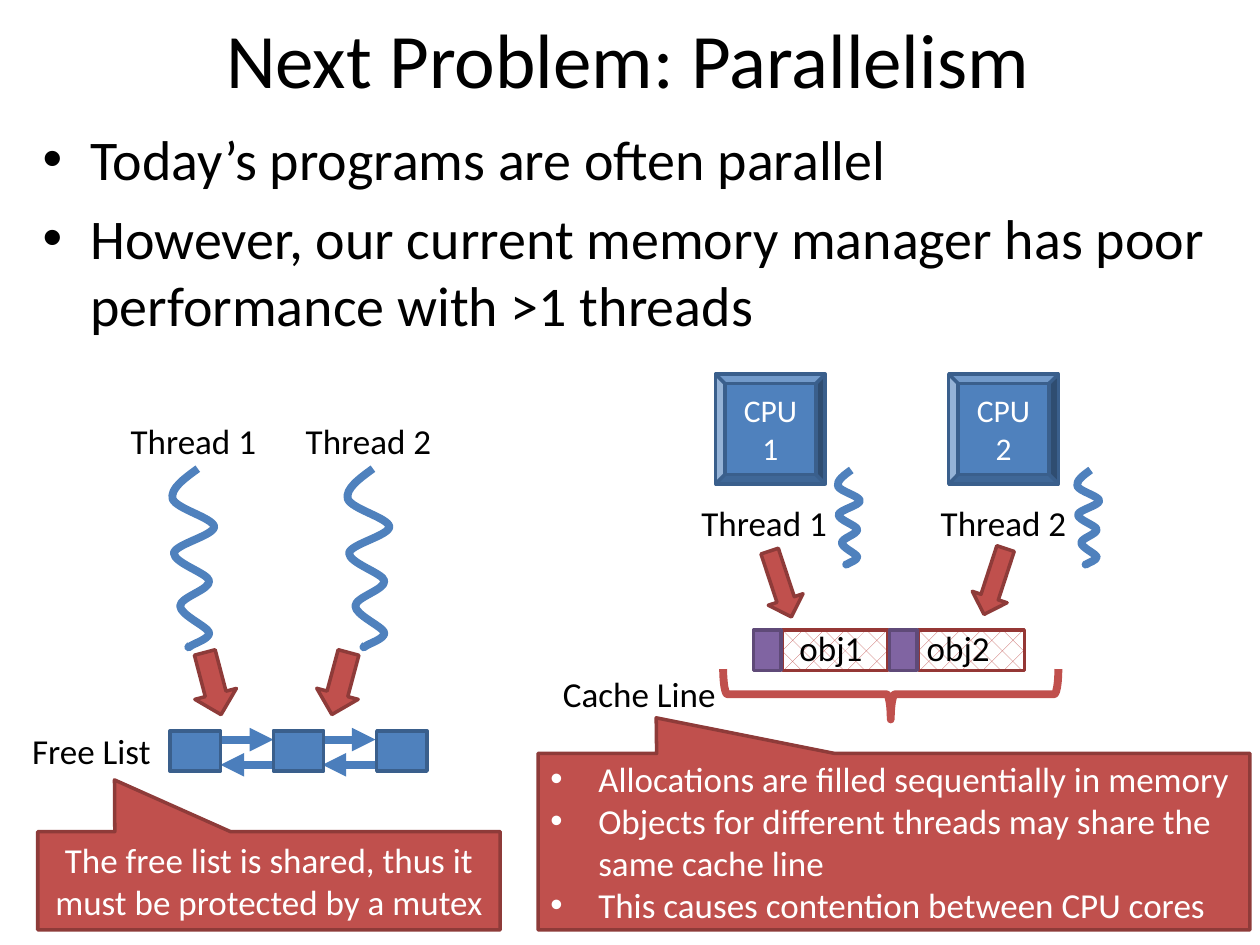
import pptx
import pptx.dml.color
import pptx.enum.dml
import pptx.enum.shapes
import pptx.enum.text
import pptx.oxml
import pptx.oxml.ns
import pptx.util
from lxml import etree

Inches = pptx.util.Inches
Pt = pptx.util.Pt
RGBColor = pptx.dml.color.RGBColor
KIND = pptx.enum.shapes.MSO_SHAPE
ALIGN = pptx.enum.text.PP_ALIGN
ANCHOR = pptx.enum.text.MSO_ANCHOR
qn = pptx.oxml.ns.qn

BLACK = RGBColor(0x00, 0x00, 0x00)
WHITE = RGBColor(0xFF, 0xFF, 0xFF)
BLUE = RGBColor(0x4F, 0x81, 0xBD)
NAVY = RGBColor(0x3A, 0x5F, 0x8C)
LINK = RGBColor(0x4B, 0x7E, 0xBC)
RED = RGBColor(0xC0, 0x50, 0x4D)
MAROON = RGBColor(0x8E, 0x3B, 0x39)
BRICK = RGBColor(0x95, 0x37, 0x35)
PURPLE = RGBColor(0x80, 0x64, 0xA2)
PLUM = RGBColor(0x5F, 0x4A, 0x78)

# Start point, then three points for each curve, in hundredths of an inch
WAVE = [(20, 0),
        (9, 8), (-2, 16), (0, 24), (3, 32), (32, 39), (33, 46),
        (33, 53), (2, 60), (1, 67), (1, 75), (28, 83), (29, 89),
        (30, 96), (6, 102), (6, 109), (6, 116), (27, 125), (29, 130),
        (30, 135), (16, 139), (14, 141), (11, 143), (13, 141), (14, 140)]


def write(frame, lines, size, color, align=ALIGN.CENTER, bullet=False, gap=0):
    for i, line in enumerate(lines):
        para = frame.paragraphs[0] if i == 0 else frame.add_paragraph()
        para.alignment = align
        if i and gap:
            para.space_before = Pt(gap)
        if bullet:
            props = para._p.get_or_add_pPr()
            props.set("marL", str(Inches(0.38)))
            props.set("indent", str(Inches(-0.38)))
            font = etree.SubElement(props, qn("a:buFont"))
            font.set("typeface", "Arial")
            etree.SubElement(props, qn("a:buChar")).set("char", "•")
        run = para.add_run()
        run.text = line
        run.font.name = "Calibri"
        run.font.size = Pt(size)
        run.font.color.rgb = color


def add_text(slide, x, y, w, h, lines, size=20, wrap=False,
             anchor=ANCHOR.TOP, **style):
    box = slide.shapes.add_textbox(Inches(x), Inches(y), Inches(w), Inches(h))
    box.text_frame.word_wrap = wrap
    box.text_frame.vertical_anchor = anchor
    write(box.text_frame, lines, size, BLACK, **style)


def add_shape(slide, kind, x, y, w, h, fill, edge, width=2, turn=0, adjust=()):
    shape = slide.shapes.add_shape(kind, Inches(x), Inches(y),
                                   Inches(w), Inches(h))
    shape.shadow.inherit = False
    shape.rotation = turn
    for i, value in enumerate(adjust):
        shape.adjustments[i] = value
    if fill is None:
        shape.fill.background()
    else:
        shape.fill.solid()
        shape.fill.fore_color.rgb = fill
    shape.line.color.rgb = edge
    shape.line.width = Pt(width)
    return shape


def add_note(slide, x, y, w, h, tip, lines, **style):
    """Red callout whose tip is given as fractions of its size."""
    note = add_shape(slide, KIND.RECTANGULAR_CALLOUT, x, y, w, h,
                     RED, MAROON, adjust=tip)
    note.text_frame.word_wrap = True
    note.text_frame.vertical_anchor = ANCHOR.MIDDLE
    write(note.text_frame, lines, 20, WHITE, **style)


def add_wave(slide, x, y, scale=1.0):
    """Thread squiggle: the points of a freeform are joined as Bezier curves."""
    points = [(Inches(x + px * scale / 100), Inches(y + py * scale / 100))
              for px, py in WAVE]
    maker = slide.shapes.build_freeform(*points[0])
    maker.add_line_segments(points[1:], close=False)
    wave = maker.convert_to_shape()
    wave.shadow.inherit = False
    wave.fill.background()
    wave.line.color.rgb = BLUE
    wave.line.width = Pt(4.5)
    track = wave._element.find(".//" + qn("a:path"))
    steps = track.findall(qn("a:lnTo"))
    for i in range(0, len(steps), 3):
        curve = etree.SubElement(track, qn("a:cubicBezTo"))
        for step in steps[i:i + 3]:
            curve.append(step[0])
            track.remove(step)


def add_link(slide, x1, x2, y):
    link = slide.shapes.add_connector(
        pptx.enum.shapes.MSO_CONNECTOR.STRAIGHT,
        Inches(x1), Inches(y), Inches(x2), Inches(y))
    link.line.color.rgb = LINK
    link.line.width = Pt(4.5)
    etree.SubElement(link.line._get_or_add_ln(),
                     qn("a:tailEnd")).set("type", "triangle")
    etree.SubElement(link._element.spPr, qn("a:effectLst"))


def add_title(slide, x, y, w, h):
    add_text(slide, x, y, w, h, ["Next Problem: Parallelism"], size=44,
             wrap=True, anchor=ANCHOR.MIDDLE)


def add_points(slide, x, y, w, h):
    add_text(slide, x, y, w, h, [
        "Today’s programs are often parallel",
        "However, our current memory manager has poor performance "
        "with >1 threads",
    ], size=32, wrap=True, align=ALIGN.LEFT, bullet=True, gap=6.4)


def add_list(slide, x, y, w, h):
    """Two threads that share one free list."""
    for i in range(2):
        left = x + 0.78 + 1.39 * i
        add_wave(slide, left + 0.44, y + 0.44)
        add_text(slide, left, y, 1.21, 0.44, [f"Thread {i + 1}"])
    for i in range(2):
        left = x + 1.45 + 0.81 * i
        add_link(slide, left, left + 0.57, y + 2.59)
        add_link(slide, left + 0.72, left + 0.15, y + 2.79)
    for i in range(3):
        add_shape(slide, KIND.RECTANGLE, x + 1.2 + 0.82 * i, y + 2.52,
                  0.4, 0.32, BLUE, NAVY)
    add_text(slide, x, y + 2.46, 1.15, 0.44, ["Free List"])
    for dx, turn in ((1.37, 345.3), (2.38, 15)):
        add_shape(slide, KIND.DOWN_ARROW, x + dx, y + 1.89, 0.34, 0.51,
                  RED, MAROON, turn=turn)
    add_note(slide, x + 0.15, y + h - 0.78, w - 0.15, 0.78, (-0.334, -1.026),
             ["The free list is shared, thus it must be protected by a mutex"])


def add_cache(slide, x, y, w, h):
    """Two cores whose objects lie in one cache line."""
    for i in range(2):
        left = x + 1.71 + 1.08 * i
        body = add_shape(slide, KIND.RECTANGLE, left + 0.23, y + 2.03,
                         0.84, 0.32, WHITE, BRICK)
        body.fill.patterned()
        body.fill.pattern = pptx.enum.dml.MSO_PATTERN.DOTTED_DIAMOND
        body.fill.fore_color.rgb = RED
        body.fill.back_color.rgb = WHITE
        add_shape(slide, KIND.RECTANGLE, left, y + 2.03, 0.22, 0.32,
                  PURPLE, PLUM)
        add_text(slide, x + 1.97 + 1.01 * i, y + 1.95, 0.71, 0.44,
                 [f"obj{i + 1}"])

        left = x + 1.19 + 1.9 * i
        add_wave(slide, left + 1.19, y + 0.76, scale=0.53)
        add_text(slide, left, y + 0.96, 1.21, 0.44, [f"Thread {i + 1}"])
        core = add_shape(slide, KIND.BEVEL, x + 1.41 + 1.85 * i, y, 0.87, 0.87,
                         BLUE, NAVY, adjust=(0.085,))
        core.text_frame.word_wrap = True
        core.text_frame.vertical_anchor = ANCHOR.MIDDLE
        write(core.text_frame, [f"CPU {i + 1}"], 18, WHITE)
    for dx, dy, turn in ((1.78, 1.39, 341.7), (3.48, 1.37, 18.1)):
        add_shape(slide, KIND.DOWN_ARROW, x + dx, y + dy, 0.29, 0.55,
                  RED, MAROON, turn=turn)
    add_shape(slide, KIND.LEFT_BRACE, x + 2.6, y + 1.21, 0.4, 2.66,
              None, RED, width=4.5, turn=270)
    add_text(slide, x + 0.09, y + 2.32, 1.43, 0.44, ["Cache Line"])
    add_note(slide, x, y + h - 1.4, w, 1.4, (-0.334, -0.702), [
        "Allocations are filled sequentially in memory",
        "Objects for different threads may share the same cache line",
        "This causes contention between CPU cores",
    ], align=ALIGN.LEFT, bullet=True)


def main():
    deck = pptx.Presentation()
    deck.slide_width = Inches(10)
    deck.slide_height = Inches(7.5)
    slide = deck.slides.add_slide(deck.slide_layouts[6])
    add_title(slide, 0.05, 0, 9.87, 0.92)
    add_points(slide, 0.24, 0.94, 9.5, 2.01)
    add_list(slide, 0.15, 3.28, 3.82, 4.1)
    add_cache(slide, 4.27, 2.97, 5.65, 4.41)
    deck.save("out.pptx")


if __name__ == "__main__":
    main()
